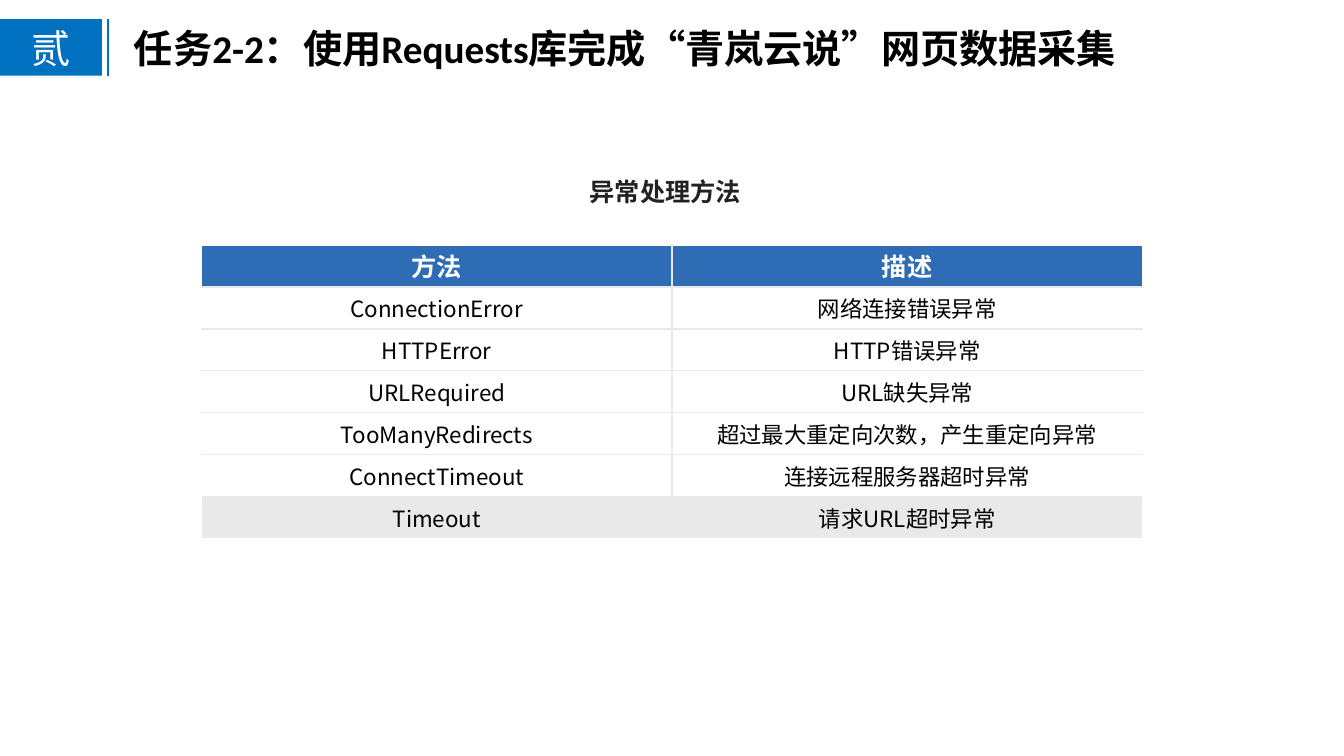
"""Build the slide listing the exceptions of the Requests library."""
from dataclasses import dataclass

import lxml.etree
import pptx
import pptx.dml.color
import pptx.enum.shapes
import pptx.enum.text
import pptx.oxml.ns
import pptx.util

ALIGN = pptx.enum.text.PP_ALIGN
MIDDLE = pptx.enum.text.MSO_ANCHOR.MIDDLE


@dataclass(frozen=True)
class Theme:
    blue: str = "0070C0"
    header: str = "2E6CB5"
    rule: str = "E9E9E9"
    white: str = "FFFFFF"
    black: str = "000000"
    heading: str = "222222"
    latin: str = "Calibri"
    chinese: str = "Noto Sans CJK SC"
    title_size: int = 28
    heading_size: int = 18
    body_size: int = 16
    line_width: int = 1


@dataclass(frozen=True)
class Area:
    left: float
    top: float
    width: float
    height: float


@dataclass(frozen=True)
class Style:
    size: int
    color: str
    font: str
    bold: bool = False


@dataclass(frozen=True)
class Label:
    text: str
    area: Area
    style: Style
    align: ALIGN | None = None
    spacing: float | None = None


@dataclass(frozen=True)
class Row:
    method: str
    description: str
    fill: str
    style: Style


THEME = Theme()
WIDTH = pptx.util.Inches(13.33)
HEIGHT = pptx.util.Inches(7.5)
BADGE_STYLE = Style(THEME.title_size, THEME.white, THEME.chinese)
HEAD_STYLE = Style(THEME.heading_size, THEME.white, THEME.chinese, True)
BODY_STYLE = Style(THEME.body_size, THEME.black, THEME.chinese)

BADGE = Label("贰", Area(0, 2.53, 7.58, 7.47), BADGE_STYLE, ALIGN.CENTER)
DIVIDER = Area(8.03, 2.53, 0, 7.47)
LABELS = (
    Label("任务2-2：使用Requests库完成“青岚云说”网页数据采集", Area(9.23, 2.53, 77.34, 7.6),
          Style(THEME.title_size, THEME.black, THEME.latin, True)),
    Label("异常处理方法", Area(43.14, 20.67, 13.8, 7.33),
          Style(THEME.heading_size, THEME.heading, THEME.chinese, True), ALIGN.JUSTIFY, 1.5),
)
TABLE = Area(15, 32.4, 70, 38.9)
ROWS = (
    Row("方法", "描述", THEME.header, HEAD_STYLE),
    Row("ConnectionError", "网络连接错误异常", THEME.white, BODY_STYLE),
    Row("HTTPError", "HTTP错误异常", THEME.white, BODY_STYLE),
    Row("URLRequired", "URL缺失异常", THEME.white, BODY_STYLE),
    Row("TooManyRedirects", "超过最大重定向次数，产生重定向异常", THEME.white, BODY_STYLE),
    Row("ConnectTimeout", "连接远程服务器超时异常", THEME.white, BODY_STYLE),
    Row("Timeout", "请求URL超时异常", THEME.rule, BODY_STYLE),
)


def rgb(color: str) -> pptx.dml.color.RGBColor:
    return pptx.dml.color.RGBColor.from_string(color)


def place(area: Area) -> tuple[int, int, int, int]:
    return (round(WIDTH * area.left / 100), round(HEIGHT * area.top / 100),
            round(WIDTH * area.width / 100), round(HEIGHT * area.height / 100))


def add_child(parent, tag: str, **attributes: str):
    return lxml.etree.SubElement(parent, pptx.oxml.ns.qn(tag), attributes)


def write(frame, text: str, style: Style, align: ALIGN | None = None,
          spacing: float | None = None) -> None:
    para = frame.paragraphs[0]
    para.alignment = align
    para.line_spacing = spacing
    span = para.add_run()
    span.text = text
    span.font.size = pptx.util.Pt(style.size)
    span.font.bold = style.bold
    span.font.color.rgb = rgb(style.color)
    span.font.name = style.font
    add_child(span.font._element, "a:ea", typeface=THEME.chinese)


def add_label(page, label: Label) -> None:
    frame = page.shapes.add_textbox(*place(label.area)).text_frame
    frame.word_wrap = True
    frame.auto_size = pptx.enum.text.MSO_AUTO_SIZE.SHAPE_TO_FIT_TEXT
    write(frame, label.text, label.style, label.align, label.spacing)


def add_badge(page, badge: Label) -> None:
    box = page.shapes.add_shape(pptx.enum.shapes.MSO_SHAPE.RECTANGLE, *place(badge.area))
    box.shadow.inherit = False
    box.fill.solid()
    box.fill.fore_color.rgb = rgb(THEME.blue)
    box.line.fill.background()
    frame = box.text_frame
    frame.vertical_anchor = MIDDLE
    for side in ("left", "top", "right", "bottom"):
        setattr(frame, f"margin_{side}", pptx.util.Inches(0.03))
    write(frame, badge.text, badge.style, badge.align)


def add_divider(page, area: Area) -> None:
    left, top, width, height = place(area)
    line = page.shapes.add_connector(
        pptx.enum.shapes.MSO_CONNECTOR.STRAIGHT, left, top, left + width, top + height)
    line.line.color.rgb = rgb(THEME.blue)
    line.line.width = pptx.util.Pt(THEME.line_width)
    add_child(line._element.spPr, "a:effectLst")


def add_borders(cell, sides: str) -> None:
    for side in sides:
        border = add_child(cell._tc.get_or_add_tcPr(), f"a:ln{side}",
                           w=str(pptx.util.Pt(THEME.line_width)))
        add_child(add_child(border, "a:solidFill"), "a:srgbClr", val=THEME.rule)


def add_table(page, area: Area, rows: tuple[Row, ...]) -> None:
    grid = page.shapes.add_table(len(rows), 2, *place(area)).table
    grid.first_row = grid.horz_banding = False
    last = len(rows) - 1
    for index, row in enumerate(rows):
        for column, text in enumerate((row.method, row.description)):
            cell = grid.cell(index, column)
            cell.margin_left = cell.margin_right = pptx.util.Inches(0.07)
            cell.margin_top = cell.margin_bottom = 0
            cell.vertical_anchor = MIDDLE
            inner = ("L" if column else "R") + "T" * (index > 0) + "B" * (index < last)
            add_borders(cell, inner)
            cell.fill.solid()
            cell.fill.fore_color.rgb = rgb(row.fill)
            write(cell.text_frame, text, row.style, ALIGN.CENTER)


def main() -> None:
    deck = pptx.Presentation()
    deck.slide_width, deck.slide_height = WIDTH, HEIGHT
    page = deck.slides.add_slide(deck.slide_layouts[6])
    add_badge(page, BADGE)
    add_divider(page, DIVIDER)
    for label in LABELS:
        add_label(page, label)
    add_table(page, TABLE, ROWS)
    deck.save("out.pptx")


if __name__ == "__main__":
    main()
